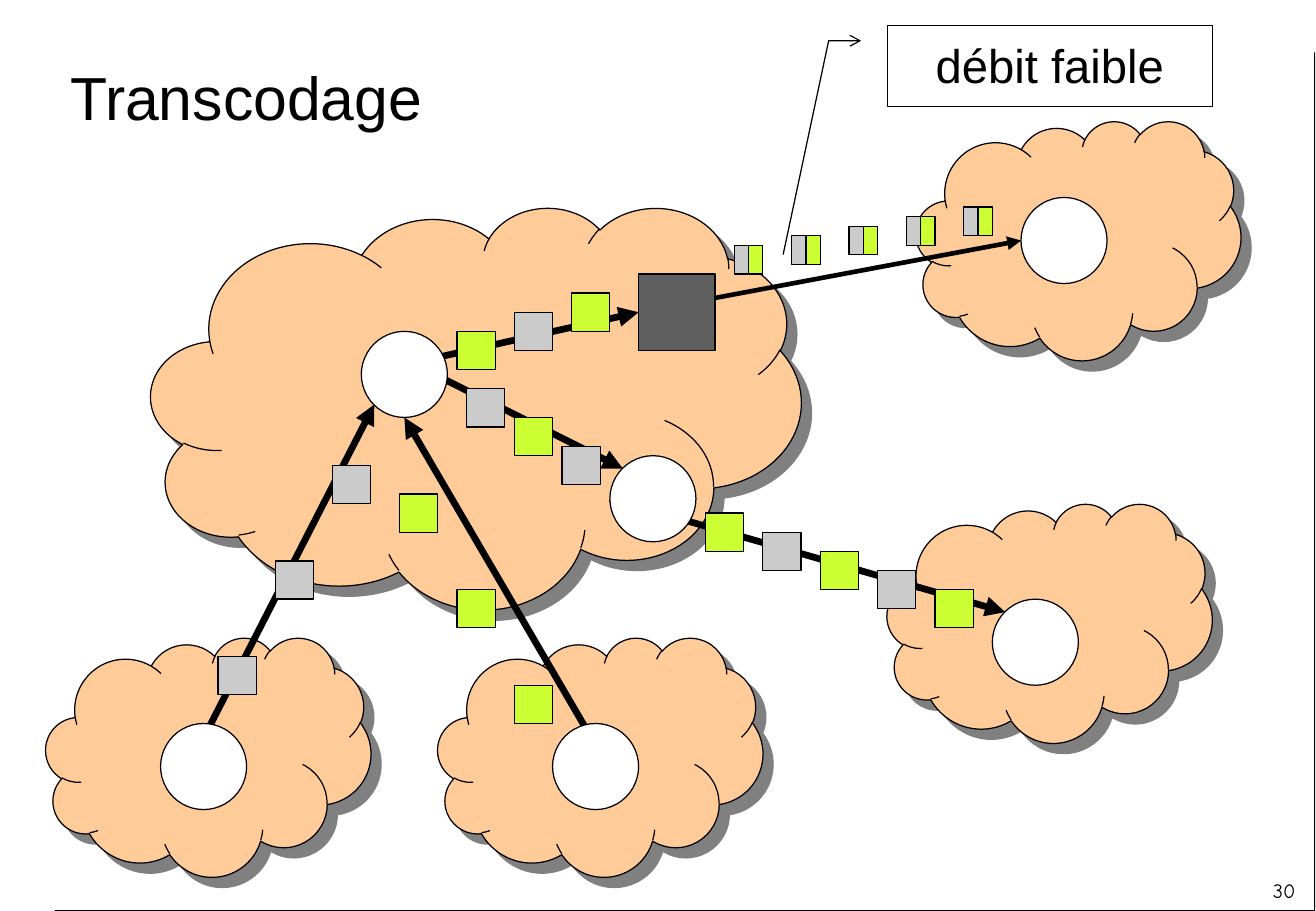
from lxml import etree
from pptx import Presentation
from pptx.dml.color import RGBColor
from pptx.enum.shapes import MSO_CONNECTOR, MSO_SHAPE
from pptx.enum.text import MSO_ANCHOR, PP_ALIGN
from pptx.oxml.ns import qn
from pptx.util import Cm, Pt

RECT, OVAL, CLOUD = MSO_SHAPE.RECTANGLE, MSO_SHAPE.OVAL, MSO_SHAPE.CLOUD
CALLOUT = MSO_SHAPE.LINE_CALLOUT_2
STRAIGHT = MSO_CONNECTOR.STRAIGHT
TOP, MIDDLE = MSO_ANCHOR.TOP, MSO_ANCHOR.MIDDLE
LEFT, CENTER, RIGHT = PP_ALIGN.LEFT, PP_ALIGN.CENTER, PP_ALIGN.RIGHT

COLORS = {"white": "FFFFFF", "black": "000000", "peach": "FFCC99", "shade": "808080",
          "gray": "CBCBCB", "green": "CCFF33", "dark": "5F5F5F"}

# Content; lengths in cm
TITLE = ("Transcodage", (1.22, 0.43, 26.29, 3.18))
NUMBER = ("30", (26.03, 17.98, 1.32, 1.27))
LABEL = ("débit faible", (18.56, 0.53, 6.8, 1.7))
LABEL_LINE = (0.19, -0.08, 0.19, -0.18, 2.82, -0.32)
FRAME = (1.12, 1.07, 26.37, 17.96)

SMALL_CLOUD = (6.8, 5.0)
CLOUDS = [
    (3.16, 4.33, 13.6, 8.4),
    (19.16, 2.53, *SMALL_CLOUD),
    (18.56, 10.53, *SMALL_CLOUD),
    (0.96, 13.33, *SMALL_CLOUD),
    (9.16, 13.33, *SMALL_CLOUD),
]

# name: (shape, colour, x, y, size)
NODES = {
    "hub": (OVAL, "white", 7.56, 6.93, 1.8),
    "relay": (OVAL, "white", 12.76, 9.53, 1.8),
    "transcoder": (RECT, "dark", 13.36, 5.73, 1.6),
    "sender west": (OVAL, "white", 3.36, 15.13, 1.8),
    "sender south": (OVAL, "white", 11.56, 15.13, 1.8),
    "receiver north": (OVAL, "white", 21.36, 4.13, 1.8),
    "receiver east": (OVAL, "white", 20.76, 12.53, 1.8),
}

# Points on a node, as shares of its size
SITES = {"left": (0, 0.5), "bottom": (0.5, 1), "top left": (0.15, 0.15),
         "bottom left": (0.15, 0.85), "bottom right": (0.85, 0.85)}
ARROWS = [
    ("sender west", "bottom left", "hub", "bottom left", 4),
    ("sender south", "bottom right", "hub", "bottom", 4),
    ("hub", "left", "transcoder", "left", 4),
    ("hub", "top left", "relay", "top left", 4),
    ("relay", "left", "receiver east", "top left", 4),
    ("transcoder", "left", "receiver north", "left", 2.75),
]

# Packet rows: first corner, step, colours
PACKET = 0.8
PACKET_ROWS = [
    ((6.96, 9.73), (-1.2, 2.0), ["gray"] * 3),
    ((8.36, 10.33), (1.2, 2.0), ["green"] * 3),
    ((9.56, 6.93), (1.2, -0.4), ["green", "gray", "green"]),
    ((9.76, 8.13), (1.0, 0.6), ["gray", "green", "gray"]),
    ((14.76, 10.73), (1.2, 0.4), ["green", "gray", "green", "gray", "green"]),
]
MIXED, MIXED_START, MIXED_STEP, MIXED_COUNT = 0.6, (15.36, 5.13), (1.2, -0.2), 5


def rgb(name):
    return RGBColor.from_string(COLORS[name])


def add_box(shapes, kind, box, fill=None, line="black"):
    s = shapes.add_shape(kind, *map(Cm, box))
    s.shadow.inherit = False
    if fill:
        s.fill.solid()
        s.fill.fore_color.rgb = rgb(fill)
    else:
        s.fill.background()
    if line:
        s.line.color.rgb = rgb(line)
        s.line.width = Pt(0.75)
    else:
        s.line.fill.background()
    return s


def add_shadow(s, color, distance):
    effects = s._element.spPr.find(qn("a:effectLst"))
    shadow = etree.SubElement(effects, qn("a:outerShdw"), dist=str(int(Pt(distance))),
                              dir="2700000", algn="ctr", rotWithShape="0")
    etree.SubElement(shadow, qn("a:srgbClr"), val=COLORS[color])


def write(s, text, size, font, align, anchor, top=0.13):
    tf = s.text_frame
    frame_format = {"word_wrap": True, "vertical_anchor": anchor, "margin_left": Cm(0.25),
                    "margin_right": Cm(0.25), "margin_top": Cm(top), "margin_bottom": Cm(0.13)}
    for key, value in frame_format.items():
        setattr(tf, key, value)
    p = tf.paragraphs[0]
    p.alignment = align
    r = p.add_run()
    r.text = text
    for key, value in {"size": Pt(size), "name": font}.items():
        setattr(r.font, key, value)
    r.font.color.rgb = rgb("black")


def site(node, place):
    x, y, size = NODES[node][2:]
    dx, dy = SITES[place]
    return Cm(x + dx * size), Cm(y + dy * size)


def add_arrow(shapes, start, start_site, end, end_site, width):
    c = shapes.add_connector(STRAIGHT, *site(start, start_site), *site(end, end_site))
    c.line.color.rgb = rgb("black")
    c.line.width = Pt(width)
    etree.SubElement(c.line._get_or_add_ln(), qn("a:tailEnd"), type="triangle")
    etree.SubElement(c._element.spPr, qn("a:effectLst"))


def steps(start, step, count):
    return [(start[0] + i * step[0], start[1] + i * step[1]) for i in range(count)]


prs = Presentation()
prs.slide_width, prs.slide_height = Cm(27.53), Cm(19.05)
slide = prs.slides.add_slide(prs.slide_layouts[6])
shapes = slide.shapes

# Page frame and title
add_shadow(add_box(shapes, RECT, FRAME, "white", None), "black", 1)
text, box = TITLE
write(shapes.add_textbox(*map(Cm, box)), text, 36, "Arial", LEFT, MIDDLE)

# Networks
for box in CLOUDS:
    add_shadow(add_box(shapes, CLOUD, box, "peach"), "shade", 8.5)

# Flows and nodes
for arrow in ARROWS:
    add_arrow(shapes, *arrow)
for kind, color, x, y, size in NODES.values():
    add_box(shapes, kind, (x, y, size, size), color)

# Packets
for start, step, colors in PACKET_ROWS:
    for (x, y), color in zip(steps(start, step, len(colors)), colors):
        add_box(shapes, RECT, (x, y, PACKET, PACKET), color)

# Transcoded packets, half green
for x, y in steps(MIXED_START, MIXED_STEP, MIXED_COUNT):
    group = shapes.add_group_shape()
    add_box(group.shapes, RECT, (x, y, MIXED, MIXED), "gray")
    add_box(group.shapes, RECT, (x + MIXED / 2, y, MIXED / 2, MIXED), "green")

# Callout
text, box = LABEL
s = add_box(shapes, CALLOUT, box)
for i, value in enumerate(LABEL_LINE):
    s.adjustments[i] = value
etree.SubElement(s.line._get_or_add_ln(), qn("a:headEnd"), type="arrow")
write(s, text, 28, "Arial", CENTER, TOP, top=0.23)

# Slide number
text, box = NUMBER
write(shapes.add_textbox(*map(Cm, box)), text, 12, "Comic Neue", RIGHT, MIDDLE)

prs.save("out.pptx")
